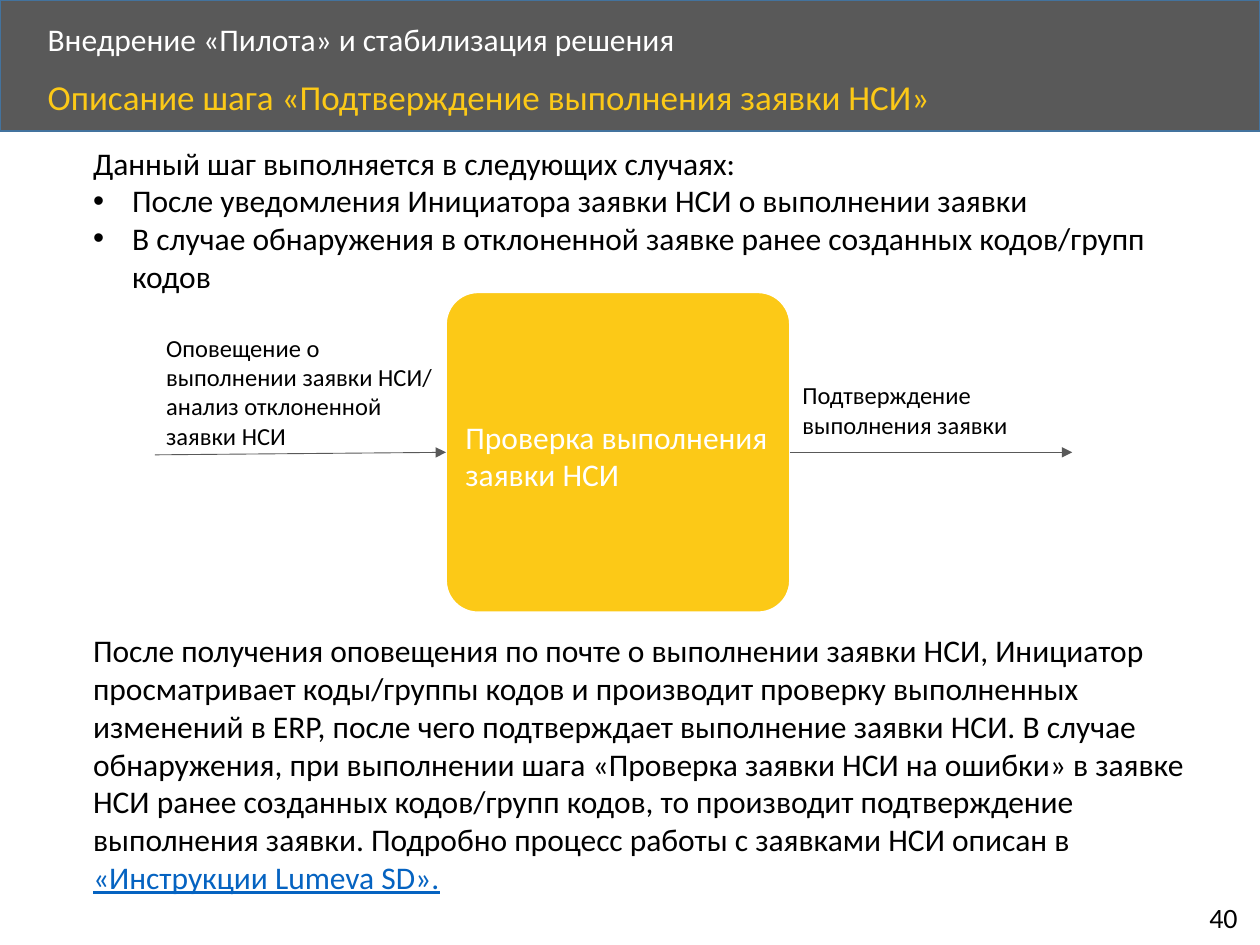
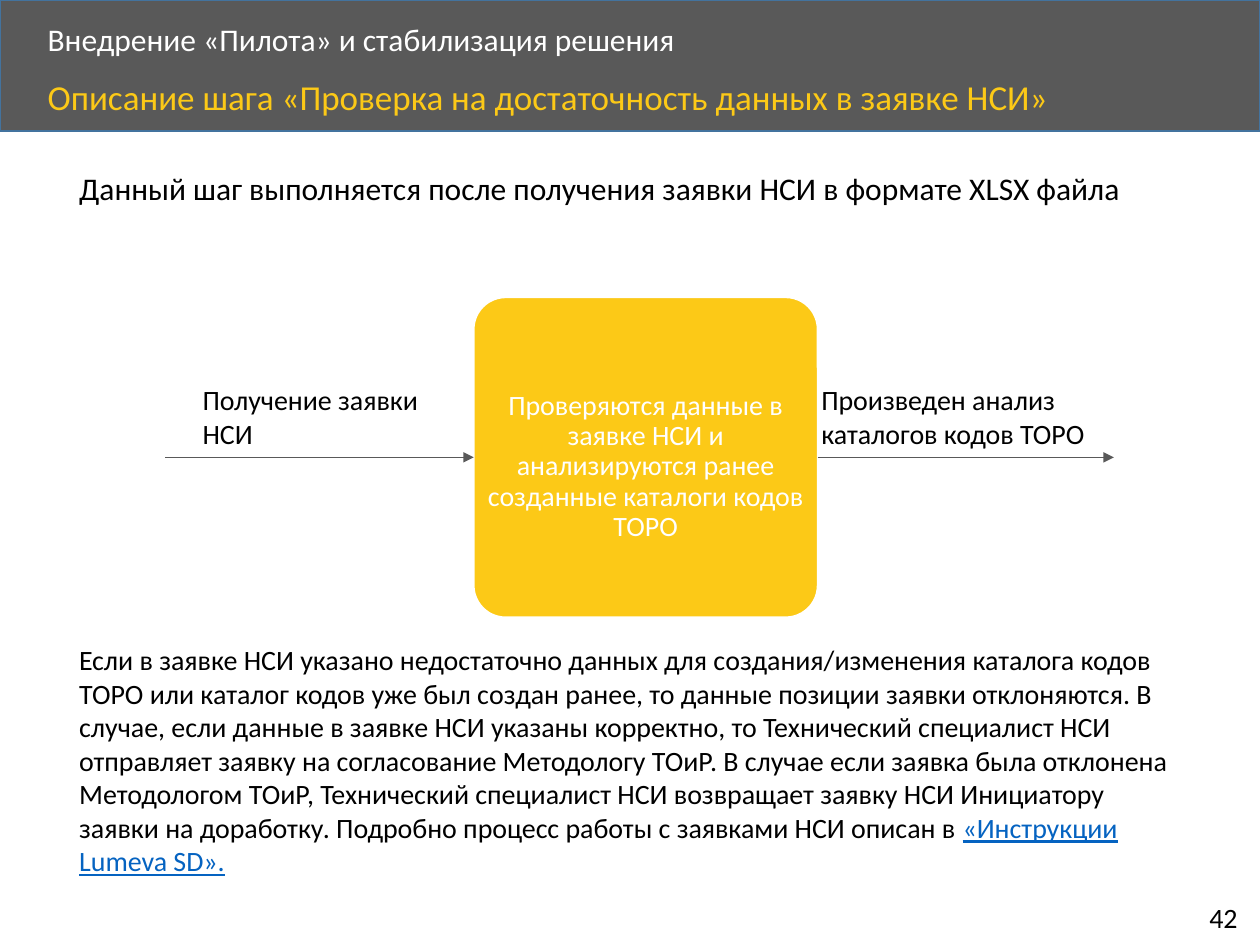
from lxml import etree
from pptx import Presentation
from pptx.dml.color import RGBColor
from pptx.enum.shapes import MSO_CONNECTOR as CONN, MSO_SHAPE as SHAPE
from pptx.enum.text import MSO_ANCHOR as ANCHOR, PP_ALIGN as ALIGN
from pptx.oxml.ns import qn
from pptx.util import Inches, Pt

GREY = RGBColor(0x59, 0x59, 0x59)
BAND_EDGE = RGBColor(0x43, 0x73, 0x9E)
YELLOW = RGBColor(0xFC, 0xC9, 0x17)
WHITE = RGBColor(0xFF, 0xFF, 0xFF)
BLACK = RGBColor(0, 0, 0)
LINK = RGBColor(0x05, 0x63, 0xC1)
FONT = "Calibri"
SECTION = "Внедрение «Пилота» и стабилизация решения"
MANUAL = "«Инструкции Lumeva SD»."
STEP_W, STEP_H = 2.73, 2.54
LEFT, RIGHT = 1, 3  # connection sites of the step box


def write(p, text, size=18, color=BLACK, underline=None):
    r = p.add_run()
    r.text = text
    r.font.name = FONT
    r.font.size = Pt(size)
    r.font.color.rgb = color
    r.font.underline = underline


def add_text(slide, box, text, wrap=True, anchor=ANCHOR.TOP, spacing=None, **fmt):
    sp = slide.shapes.add_textbox(*map(Inches, box))
    tf = sp.text_frame
    tf.word_wrap = wrap
    tf.vertical_anchor = anchor
    p = tf.paragraphs[0]
    p.line_spacing = spacing
    write(p, text, **fmt)
    return tf


def add_bullet(tf, text):
    p = tf.add_paragraph()
    pPr = p._p.get_or_add_pPr()
    pPr.set("marL", str(Inches(0.31)))
    pPr.set("indent", str(-Inches(0.31)))
    etree.SubElement(pPr, qn("a:buFont")).set("typeface", "Arial")
    etree.SubElement(pPr, qn("a:buChar")).set("char", "•")
    write(p, text)


def add_block(slide, kind, box, fill, edge):
    sp = slide.shapes.add_shape(kind, *map(Inches, box))
    sp.shadow.inherit = False
    sp.fill.solid()
    sp.fill.fore_color.rgb = fill
    sp.line.color.rgb = edge
    sp.line.width = Pt(1)
    return sp


def add_arrow(slide, start, end):
    line = slide.shapes.add_connector(CONN.STRAIGHT, *map(Inches, start + end))
    line.line.color.rgb = GREY
    line.line.width = Pt(0.5)
    spPr = line._element.spPr
    etree.SubElement(spPr.find(qn("a:ln")), qn("a:tailEnd")).set("type", "triangle")
    etree.SubElement(spPr, qn("a:effectLst"))
    return line


def add_frame(prs, title, number):
    """Add a slide with the header band, its titles and the page number."""
    slide = prs.slides.add_slide(prs.slide_layouts[6])
    add_block(slide, SHAPE.RECTANGLE, (0, 0, 10, 1.04), GREY, BAND_EDGE)
    add_text(slide, (0.28, 0.14, 8.07, 0.38), SECTION, anchor=ANCHOR.MIDDLE,
             spacing=0.9, color=WHITE)
    add_text(slide, (0.28, 0.59, 8.67, 0.45), title, spacing=0.9, size=20, color=YELLOW)
    add_text(slide, (9.5, 7.1, 0.46, 0.37), str(number), wrap=False, size=16)
    return slide


def add_step(slide, left, top, text, insets, size=18, align=ALIGN.LEFT, spacing=None):
    """Add the rounded step box; insets run left, top, right, bottom."""
    sp = add_block(slide, SHAPE.ROUNDED_RECTANGLE, (left, top, STEP_W, STEP_H), YELLOW, WHITE)
    sp.adjustments[0] = 0.1
    tf = sp.text_frame
    tf.word_wrap = True
    tf.vertical_anchor = ANCHOR.MIDDLE
    tf.margin_left, tf.margin_top, tf.margin_right, tf.margin_bottom = map(Inches, insets)
    p = tf.paragraphs[0]
    p.alignment = align
    p.line_spacing = spacing
    write(p, text, size=size, color=WHITE)
    return sp


def add_flow(slide, left, top, text, start, end_x, **fmt):
    """Add the step box with an arrow into it and an arrow out of it."""
    step = add_step(slide, left, top, text, **fmt)
    middle = top + STEP_H / 2
    add_arrow(slide, start, (left, middle)).end_connect(step, LEFT)
    add_arrow(slide, (left + STEP_W, middle), (end_x, middle)).begin_connect(step, RIGHT)


def add_details(slide, box, text, size):
    tf = add_text(slide, box, text, size=size)
    write(tf.paragraphs[0], MANUAL, size=size, color=LINK, underline=True)


def confirmation_slide(prs):
    slide = add_frame(prs, "Описание шага «Подтверждение выполнения заявки НСИ»", 40)
    tf = add_text(slide, (0.64, 1.09, 8.75, 1.31),
                  "Данный шаг выполняется в следующих случаях:")
    add_bullet(tf, "После уведомления Инициатора заявки НСИ о выполнении заявки")
    add_bullet(tf, "В случае обнаружения в отклоненной заявке ранее созданных "
                   "кодов/групп кодов")
    add_flow(slide, 3.54, 2.32, "Проверка выполнения заявки НСИ", (1.23, 3.61), 8.51,
             insets=(0.08, 0.05, 0.04, 0))
    add_text(slide, (1.22, 2.59, 2.31, 1.04),
             "Оповещение о выполнении заявки НСИ/ анализ отклоненной заявки НСИ", size=14)
    add_text(slide, (6.27, 2.97, 1.88, 0.57), "Подтверждение выполнения заявки", size=14)
    add_details(
        slide, (0.64, 4.96, 8.95, 2.52),
        "После получения оповещения по почте о выполнении заявки НСИ, Инициатор "
        "просматривает коды/группы кодов и производит проверку выполненных изменений "
        "в ERP, после чего подтверждает выполнение заявки НСИ. В случае обнаружения, "
        "при выполнении шага «Проверка заявки НСИ на ошибки» в заявке НСИ ранее "
        "созданных кодов/групп кодов, то производит подтверждение выполнения заявки. "
        "Подробно процесс работы c заявками НСИ описан в ", 18)


def data_check_slide(prs):
    slide = add_frame(prs, "Описание шага «Проверка на достаточность данных в заявке НСИ»", 42)
    add_text(slide, (0.53, 1.29, 8.88, 0.4),
             "Данный шаг выполняется после получения заявки НСИ в формате XLSX файла")
    add_flow(slide, 3.76, 2.36,
             "Проверяются данные в заявке НСИ и анализируются ранее созданные "
             "каталоги кодов ТОРО", (1.31, 3.63), 8.84,
             insets=(0.01, 0.16, 0.01, 0.01), size=16, align=ALIGN.CENTER, spacing=0.9)
    add_text(slide, (1.51, 2.99, 2.33, 0.64), "Получение заявки НСИ", size=16)
    add_text(slide, (6.42, 2.99, 2.53, 0.64), "Произведен анализ каталогов кодов ТОРО",
             size=16)
    add_details(
        slide, (0.53, 5.05, 8.88, 1.99),
        "Если в заявке НСИ указано недостаточно данных для создания/изменения каталога "
        "кодов ТОРО или каталог кодов уже был создан ранее, то данные позиции заявки "
        "отклоняются. В случае, если данные в заявке НСИ указаны корректно, то "
        "Технический специалист НСИ отправляет заявку на согласование Методологу ТОиР. "
        "В случае если заявка была отклонена Методологом ТОиР, Технический специалист "
        "НСИ возвращает заявку НСИ Инициатору заявки на доработку. Подробно процесс "
        "работы c заявками НСИ описан в ", 16)


def main():
    prs = Presentation()
    prs.slide_width, prs.slide_height = Inches(10), Inches(7.5)
    confirmation_slide(prs)
    data_check_slide(prs)
    prs.save("out.pptx")


if __name__ == "__main__":
    main()
